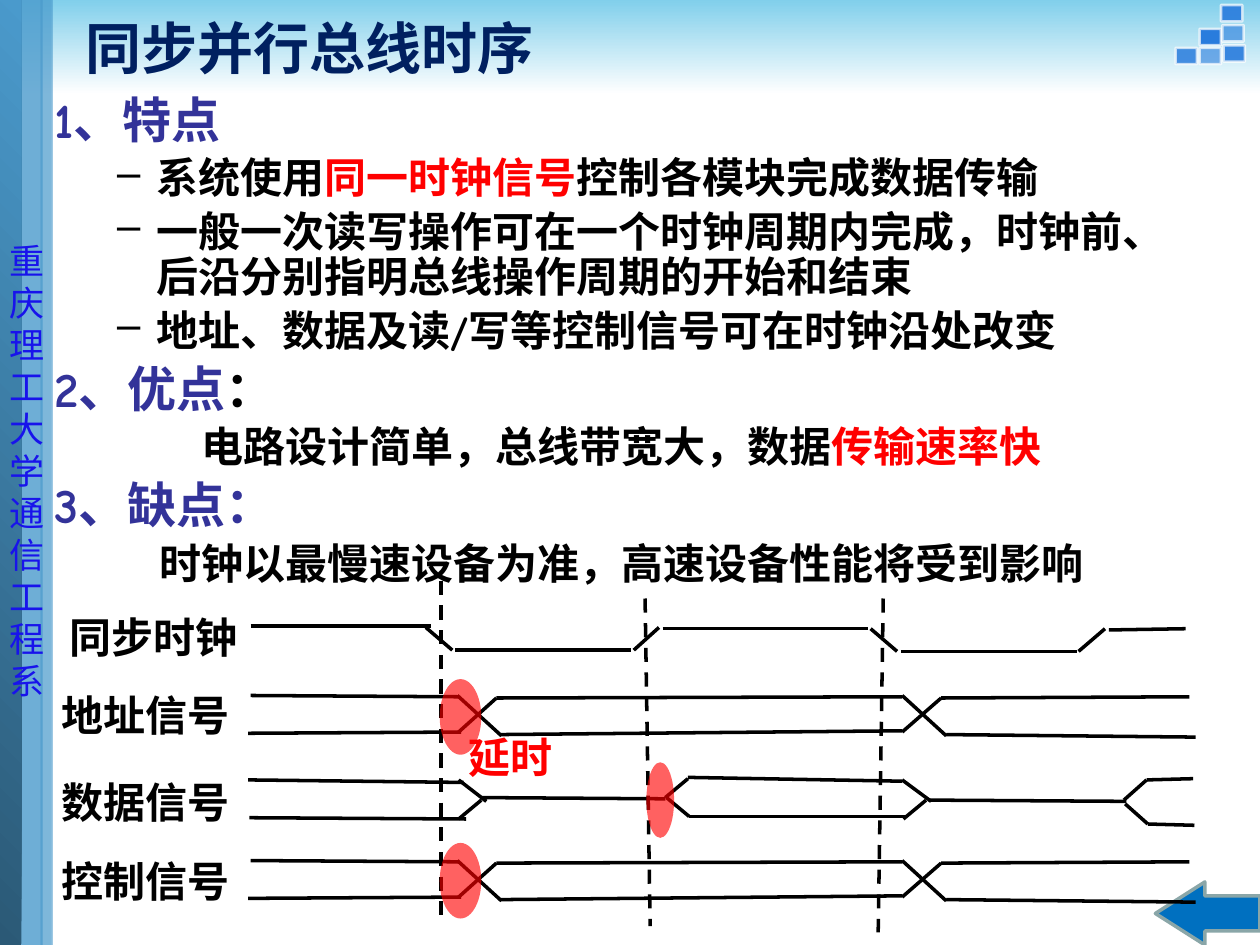
from lxml import etree
from pptx import Presentation, util as u
from pptx.dml import color
from pptx.enum import dml, shapes, text
from pptx.oxml import ns

W, H = 10, 7.5
COLUMNS = 755
BLACK, RED, INDIGO, SKY, BLUE = "000000", "FF0000", "333399", "4A9ACC", "297CDD"
RECT = shapes.MSO_SHAPE.RECTANGLE

CLOCK = [(4, 2, 147, 2), (143, 3, 164, 21), (166, 21, 306, 21), (308, 21, 328, 3), (331, 4, 494, 4),
         (496, 4, 517, 22), (520, 22, 660, 22), (661, 22, 682, 4), (685, 5, 746, 4)]
BUS = [(4, 2, 169, 3), (2, 32, 171, 31), (168, 2, 203, 34), (169, 31, 199, 4), (202, 33, 521, 30),
       (199, 4, 521, 3), (521, 2, 556, 34), (521, 31, 552, 4), (556, 33, 754, 35), (552, 4, 749, 3)]
DATA = [(2, 3, 173, 5), (3, 33, 175, 34), (169, 3, 191, 20), (169, 34, 187, 19), (186, 17, 333, 18),
        (334, 17, 352, 32), (333, 17, 351, 2), (351, 1, 521, 4), (352, 32, 524, 32),
        (521, 3, 544, 20), (522, 34, 540, 19), (542, 19, 699, 20), (698, 22, 716, 38),
        (697, 19, 715, 3), (715, 3, 752, 2), (716, 38, 753, 39)]
STROBES = [(155, 1, 155, 268), (506, 15, 502, 280), (317, 15, 321, 275)]


def rgb(value):
    """Turn a hex string into a colour."""
    return color.RGBColor.from_string(value)


def inches(values):
    """Convert a sequence of numbers to inches."""
    return [u.Inches(v) for v in values]


def child(parent, tag, **attrs):
    """Append a drawing element with attributes."""
    return etree.SubElement(parent, ns.qn(tag), **attrs)


def paint(fill, value, alpha=100):
    """Fill with one colour at a percentage of opacity."""
    fill.solid()
    fill.fore_color.rgb = rgb(value)
    if alpha < 100:
        for node in fill._xPr.iter(ns.qn("a:srgbClr")):
            child(node, "a:alpha", val=str(alpha * 1000))


def add_shape(s, kind, box, fill, alpha=100, line=None, width=1.5, line_alpha=100):
    """Add a preset shape; a pair of colours and an angle makes a gradient."""
    sp = s.shapes.add_shape(kind, *inches(box))
    sp.shadow.inherit = False
    if isinstance(fill, tuple):
        sp.fill.gradient()
        sp.fill.gradient_angle = fill[2]
        for stop, value, place in zip(sp.fill.gradient_stops, fill, (0, 1)):
            stop.color.rgb, stop.position = rgb(value), place
    else:
        paint(sp.fill, fill, alpha)
    if line:
        paint(sp.line.fill, line, line_alpha)
        sp.line.width = u.Pt(width)
    else:
        sp.line.fill.background()
    return sp


def add_run(p, words, size=24, font="Arial", colour=BLACK, bold=True):
    """Add formatted text to a paragraph."""
    r = p.add_run()
    r.text = words
    r.font.size, r.font.name, r.font.bold = u.Pt(size), font, bold
    r.font.color.rgb = rgb(colour)


def add_box(s, box, inset=True, wrap=True):
    """Add a text box and return its frame."""
    tf = s.shapes.add_textbox(*inches(box)).text_frame
    tf.word_wrap = wrap
    if not inset:
        tf.margin_left = tf.margin_top = tf.margin_right = tf.margin_bottom = 0
    return tf


def add_traces(s, box, lines, dashed=False):
    """Draw grid segments inside a box."""
    left, top, width = box
    unit = width / COLUMNS
    for x1, y1, x2, y2 in lines:
        ends = (left + x1 * unit, top + y1 * unit, left + x2 * unit, top + y2 * unit)
        c = s.shapes.add_connector(shapes.MSO_CONNECTOR.STRAIGHT, *inches(ends))
        c.line.width = u.Pt(2)
        c.line.color.rgb = rgb(BLACK)
        if dashed:
            c.line.dash_style = dml.MSO_LINE.DASH
        child(c._element.spPr, "a:effectLst")


def add_backdrop(s):
    """Draw the header band, corner squares and side bars."""
    add_shape(s, RECT, (0, 0, W, H / 10), ("81CFEB", "FFFFFF", 270))
    for x, y, alpha in [(9.73, .34, 90), (9.54, .36, 60), (9.35, .36, 85),
                        (9.54, .21, 100), (9.72, .18, 60), (9.71, .02, 90)]:
        sp = add_shape(s, RECT, (x, y, .13, .17), BLUE, alpha, "FFFFFF", line_alpha=70)
        sp.rotation = 90
    add_shape(s, RECT, (.11, 0, .23, H), SKY, 80)
    add_shape(s, RECT, (0, 0, .17, H), ("2B5976", SKY, 45))
    add_shape(s, RECT, (.32, 0, .1, H), SKY, 54)
    add_shape(s, RECT, (.33, 0, .08, H), SKY, 37)


def add_sidebar(s, box):
    """Stack the school and department names in a narrow column."""
    tf = add_box(s, box)
    for i, words in enumerate(["重庆理工大学", "通信工程系"]):
        p = tf.add_paragraph() if i else tf.paragraphs[0]
        add_run(p, words, 20, "Noto Sans CJK SC", "1813EB", False)


def add_title(s, box, words):
    """Place and format the title above the backdrop."""
    title = s.shapes.title
    title.left, title.top, title.width, title.height = inches(box)
    tf = title.text_frame
    tf.vertical_anchor = text.MSO_ANCHOR.MIDDLE
    p = tf.paragraphs[0]
    p.alignment = text.PP_ALIGN.LEFT
    add_run(p, words, 32, "Comic Neue", "002060")
    title._element.getparent().append(title._element)


def add_body(s, box):
    """Write headings, dashed points and centred remarks."""
    rows = [
        ("head", [("1、特点", INDIGO)]),
        ("point", [("系统使用", BLACK), ("同一时钟信号", RED), ("控制各模块完成数据传输", BLACK)]),
        ("point", [("一般一次读写操作可在一个时钟周期内完成，时钟前、"
                    "后沿分别指明总线操作周期的开始和结束", BLACK)]),
        ("point", [("地址、数据及读/写等控制信号可在时钟沿处改变", BLACK)]),
        ("head", [("2、优点", INDIGO), ("：", BLACK)]),
        ("remark", [("电路设计简单，总线带宽大，数据", BLACK), ("传输速率快", RED)]),
        ("head", [("3、缺点：", INDIGO)]),
        ("remark", [("时钟以最慢速设备为准，高速设备性能将受到影响", BLACK)]),
    ]
    indents = {"point": (.81, -.31), "remark": (.62, -.62)}
    tf = add_box(s, box, inset=False)
    for i, (style, runs) in enumerate(rows):
        p = tf.add_paragraph() if i else tf.paragraphs[0]
        size = 28 if style == "head" else 24
        p.line_spacing = .9
        if i:
            p.space_before = u.Pt(size * .2)
        if style in indents:
            margin, indent = inches(indents[style])
            pPr = p._p.get_or_add_pPr()
            pPr.set("marL", str(int(margin)))
            pPr.set("indent", str(int(indent)))
        if style == "point":
            child(pPr, "a:buChar", char="–")
        if style == "remark":
            p.alignment = text.PP_ALIGN.CENTER
        for words, colour in runs:
            add_run(p, words, size, "Comic Neue", colour)


def add_timing(s, box):
    """Draw the labelled signals, strobes and delay marks."""
    left, top, width = box
    add_traces(s, box, STROBES, dashed=True)
    for name, label_x, label_y, y, lines in [
            ("同步时钟", .55, .25, .35, CLOCK), ("地址信号", .49, .87, .9, BUS),
            ("数据信号", .49, 1.56, 1.56, DATA), ("控制信号", .49, 2.19, 2.21, BUS)]:
        add_traces(s, (left, top + y, width), lines)
        add_run(add_box(s, (label_x, top + label_y, 1.5, .36), inset=False).paragraphs[0], name)
    for x, y, w in [(1.54, .79, .33), (3.18, 1.45, .22), (1.54, 2.09, .33)]:
        add_shape(s, shapes.MSO_SHAPE.OVAL, (left + x, top + y, w, .6), RED, 62)
    tf = add_box(s, (left + 1.67, top + 1.16, .88, .51), wrap=False)
    add_run(tf.paragraphs[0], "延时", colour=RED)


def main():
    """Build and save the slide."""
    prs = Presentation()
    prs.slide_width, prs.slide_height = inches((W, H))
    s = prs.slides.add_slide(prs.slide_layouts[5])
    add_backdrop(s)
    add_sidebar(s, (-.02, 1.85, .7, 3.8))
    add_title(s, (.58, 0, 9.42, H / 10), "同步并行总线时序")
    add_body(s, (.43, .76, 9, 4.33))
    arrow = add_shape(s, shapes.MSO_SHAPE.LEFT_ARROW, (9.17, 7, .83, .5), "0070C0",
                      line="8AA6A8", width=2)
    arrow.adjustments[0], arrow.adjustments[1] = .557, .786
    add_timing(s, (1.95, 4.6, 7.55))
    prs.save("out.pptx")


if __name__ == "__main__":
    main()
